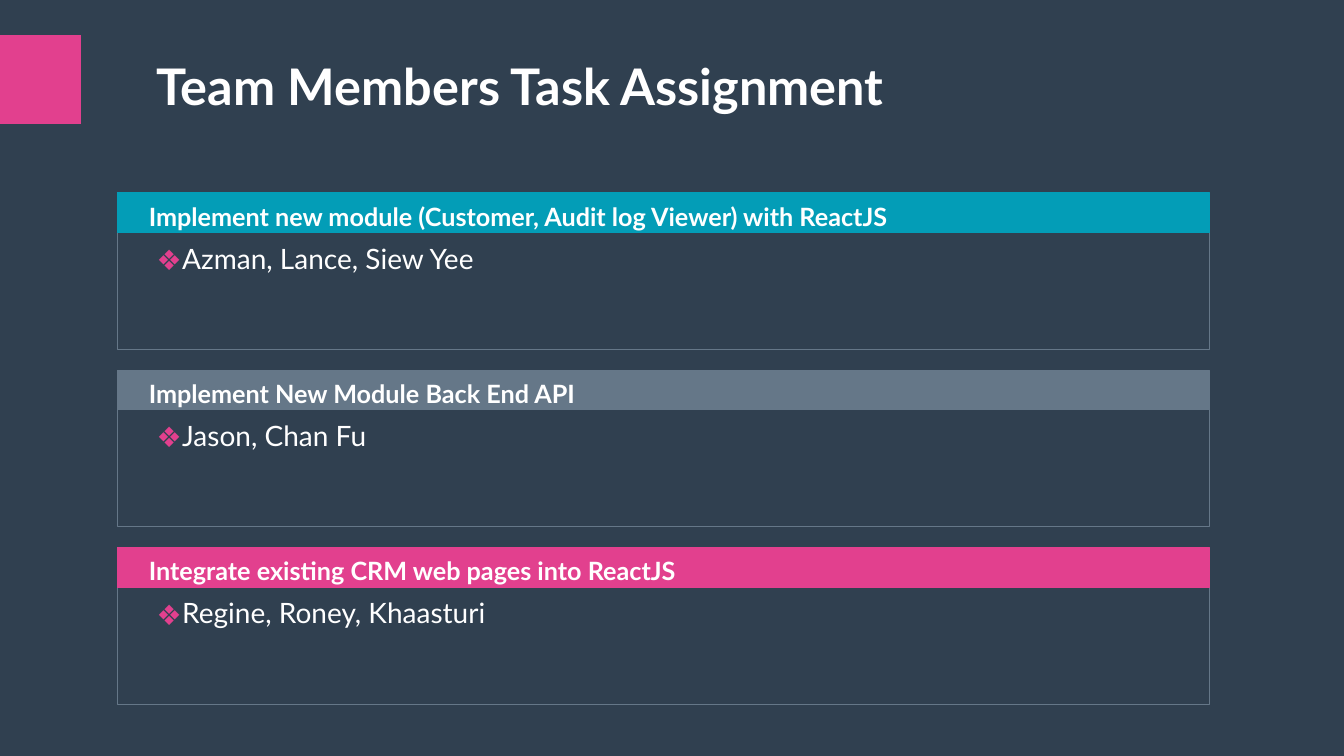
from lxml.etree import SubElement
from pptx import Presentation
from pptx.dml.color import RGBColor
from pptx.enum.shapes import MSO_SHAPE
from pptx.enum.text import MSO_ANCHOR, MSO_AUTO_SIZE, PP_ALIGN
from pptx.oxml.ns import qn
from pptx.util import Cm, Pt


def color(code):
    return RGBColor.from_string(code)


def write(frame, text, size, bold):
    frame.word_wrap = True
    frame.auto_size = MSO_AUTO_SIZE.NONE
    frame.vertical_anchor = MSO_ANCHOR.TOP
    frame.margin_top = frame.margin_bottom = Cm(0.13)
    para = frame.paragraphs[0]
    para.text = text
    para.alignment = PP_ALIGN.LEFT
    para.line_spacing = 1.1
    para.space_before = Pt(0)
    para.font.name = "Lato"
    para.font.size = Pt(size)
    para.font.bold = bold
    para.font.color.rgb = color("FFFFFF")


NAVY, PINK, TEAL, GRAY = "304050", "E2408E", "039DB7", "657788"
tasks = [
    ("Implement new module (Customer, Audit log Viewer) with ReactJS",
     "Azman, Lance, Siew Yee", TEAL),
    ("Implement New Module Back End API", "Jason, Chan Fu", GRAY),
    ("Integrate existing CRM web pages into ReactJS",
     "Regine, Roney, Khaasturi", PINK),
]
left, top, width = 2.95, 4.86, 27.53
head, body, step = 1, 2.95, 4.47

deck = Presentation()
deck.slide_width = Cm(33.87)
deck.slide_height = Cm(19.05)
slide = deck.slides.add_slide(deck.slide_layouts.get_by_name("Comparison"))
slide.background.fill.solid()
slide.background.fill.fore_color.rgb = color(NAVY)

title, *lists = slide.placeholders
for spare in [title, *lists[len(tasks):]]:
    spare.element.getparent().remove(spare.element)

for row, (task, team, tone) in enumerate(tasks):
    y = top + row * step

    box = lists[row]
    box.left, box.top = Cm(left), Cm(y + head)
    box.width, box.height = Cm(width), Cm(body)
    box.line.color.rgb = color(GRAY)
    box.line.width = Pt(0.75)
    frame = box.text_frame
    frame.margin_left = Cm(1)
    props = frame.paragraphs[0]._p.get_or_add_pPr()
    props.set("marL", str(Cm(0.64)))
    props.set("indent", str(Cm(-0.64)))
    tint = SubElement(props, qn("a:buClr"))
    SubElement(tint, qn("a:srgbClr"), val=PINK)
    SubElement(props, qn("a:buFont"), typeface="Noto Sans Symbols")
    SubElement(props, qn("a:buChar"), char="❖")
    write(frame, team, 20, False)

    bar = slide.shapes.add_shape(
        MSO_SHAPE.RECTANGLE, Cm(left), Cm(y), Cm(width), Cm(head))
    bar.shadow.inherit = False
    bar.fill.solid()
    bar.fill.fore_color.rgb = color(tone)
    bar.line.color.rgb = color(tone)
    bar.line.width = Pt(0.75)
    bar.text_frame.margin_left = Cm(0.8)
    write(bar.text_frame, task, 18, True)

table = slide.shapes.add_table(
    1, 3, Cm(0), Cm(0.88), Cm(30.25), Cm(2.24)).table
table.first_row = table.horz_banding = False
style = table._tbl.tblPr.find(qn("a:tableStyleId"))
style.text = "{2D5ABB26-0587-4C30-8999-92F81FD0307C}"
for col, size in zip(table.columns, (2.05, 1.65, 26.55)):
    col.width = Cm(size)
for spot, tone in ((0, PINK), (1, NAVY), (2, NAVY)):
    cell = table.cell(0, spot)
    cell.fill.solid()
    cell.fill.fore_color.rgb = color(tone)

cell = table.cell(0, 2)
cell.vertical_anchor = MSO_ANCHOR.BOTTOM
cell.margin_bottom = Cm(0.2)
para = cell.text_frame.paragraphs[0]
para.text = "Team Members Task Assignment"
para.font.name = "Lato"
para.font.size = Pt(36)
para.font.bold = True
para.font.color.rgb = color("FFFFFF")

deck.save("out.pptx")
